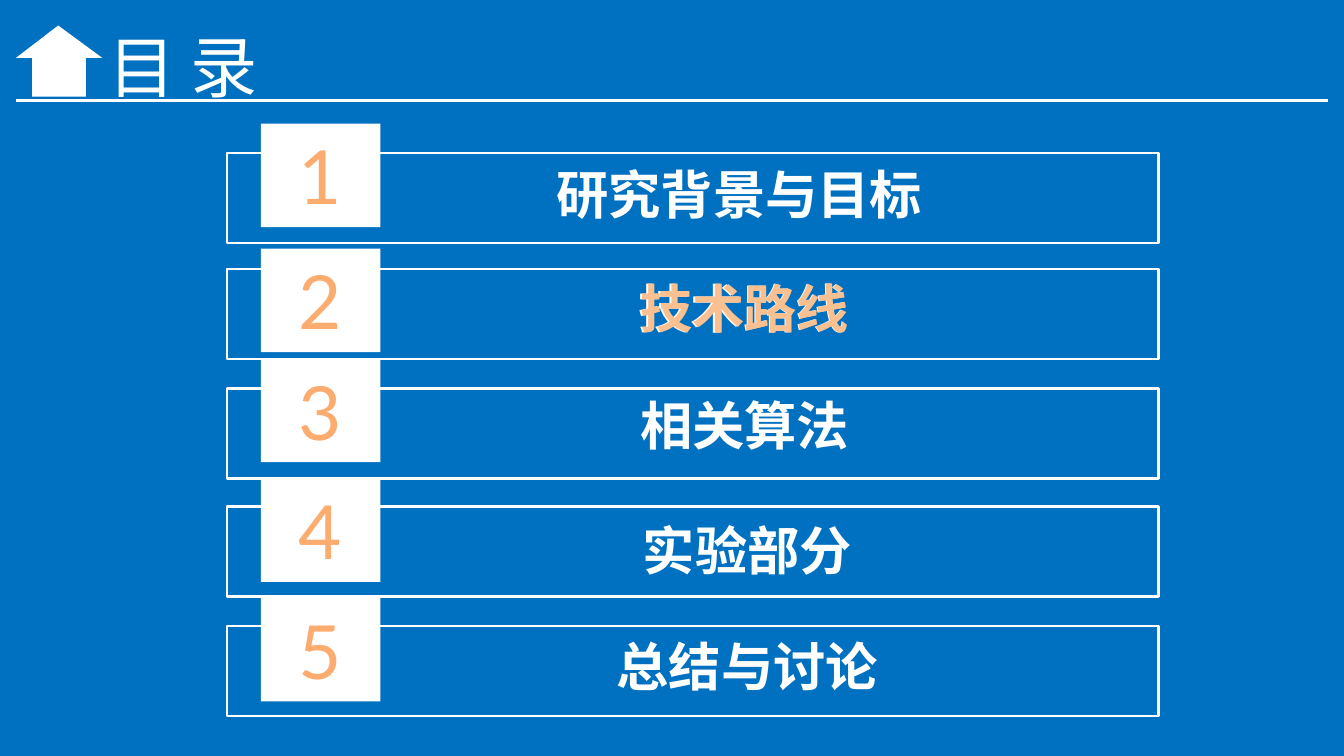
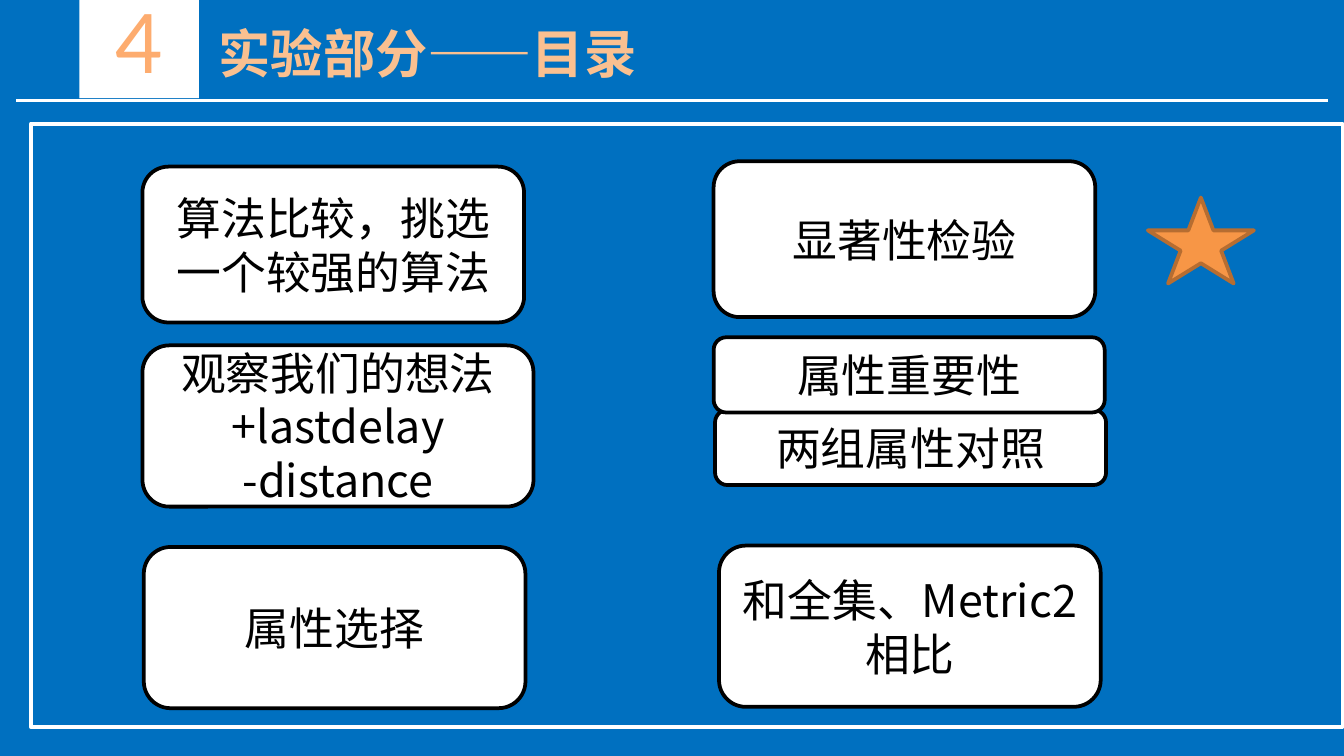
"""Build the contents slide and the experiment outline slide."""
import lxml.etree
import pptx
import pptx.dml.color
import pptx.enum.shapes
import pptx.enum.text
import pptx.oxml.ns
import pptx.util

Inches = pptx.util.Inches
Shape = pptx.enum.shapes.MSO_SHAPE
Align = pptx.enum.text.PP_ALIGN
Anchor = pptx.enum.text.MSO_ANCHOR

BLUE, WHITE, BLACK = "0070C0", "FFFFFF", "000000"
PEACH, APRICOT, ORANGE, BROWN = "FAC090", "FDAC6F", "F79646", "B66D31"
SANS = "Noto Sans CJK SC"


def colour(value):
    return pptx.dml.color.RGBColor.from_string(value)


def add_box(slide, at, text="", *, kind=None, fill=None, line=None, width=2, font=SANS,
            size=28, ink=WHITE, bold=False, align=Align.CENTER, anchor=Anchor.TOP):
    place = [Inches(length) for length in at]
    if kind is None:
        box = slide.shapes.add_textbox(*place)
    else:
        box = slide.shapes.add_shape(kind, *place)
        box.shadow.inherit = False
        if fill:
            box.fill.solid()
            box.fill.fore_color.rgb = colour(fill)
        else:
            box.fill.background()
        if line:
            box.line.color.rgb = colour(line)
            box.line.width = pptx.util.Pt(width)
        else:
            box.line.fill.background()
    if text:
        frame = box.text_frame
        frame.word_wrap = True
        frame.vertical_anchor = anchor
        for index, words in enumerate(text.split("\n")):
            para = frame.add_paragraph() if index else frame.paragraphs[0]
            para.alignment = align
            span = para.add_run()
            span.text = words
            span.font.size = pptx.util.Pt(size)
            span.font.bold = bold
            span.font.color.rgb = colour(ink)
            span.font.name = font
            properties = span.font._element
            lxml.etree.SubElement(properties, pptx.oxml.ns.qn("a:ea"), typeface=font)
    return box


deck = pptx.Presentation()
deck.slide_width = Inches(10)
deck.slide_height = deck.slide_width * 9 // 16

for _ in range(2):
    slide = deck.slides.add_slide(deck.slide_layouts[6])
    slide.background.fill.solid()
    slide.background.fill.fore_color.rgb = colour(BLUE)
    rule = slide.shapes.add_connector(
        pptx.enum.shapes.MSO_CONNECTOR.STRAIGHT,
        Inches(0.12), Inches(0.75), Inches(9.88), Inches(0.75))
    rule.line.color.rgb = colour(WHITE)
    rule.line.width = pptx.util.Pt(1.5)
    lxml.etree.SubElement(rule._element.spPr, pptx.oxml.ns.qn("a:effectLst"))

contents, outline = deck.slides
number_style = dict(kind=Shape.RECTANGLE, fill=WHITE, font="Lato", ink=APRICOT)

roof = add_box(contents, (0.12, 0.19, 0.64, 0.24), kind=Shape.ISOSCELES_TRIANGLE, fill=WHITE)
roof.adjustments[0] = 0.49
add_box(contents, (0.24, 0.43, 0.4, 0.29), kind=Shape.RECTANGLE, fill=WHITE)
add_box(contents, (0.71, 0.14, 1.72, 0.7), "目 录", font="Noto Sans CJK JP",
        size=36, align=Align.LEFT)

chapters = [
    ("研究背景与目标", 1.14, 0.92, 2.6, 1.16),
    ("技术路线", 2, 1.85, 2.63, 2.01),
    ("相关算法", 2.89, 2.67, 2.64, 2.88),
    ("实验部分", 3.77, 3.56, 2.66, 3.81),
    ("总结与讨论", 4.66, 4.45, 2.66, 4.67),
]
for number, chapter in enumerate(chapters, 1):
    name, frame_top, number_top, name_left, name_top = chapter
    add_box(contents, (1.69, frame_top, 6.93, 0.67), kind=Shape.RECTANGLE,
            line=WHITE, width=1.25)
    add_box(contents, (1.94, number_top, 0.89, 0.77), str(number), size=40, **number_style)
    add_box(contents, (name_left, name_top, 5.8, 0.57), name, bold=True)
add_box(contents, (2.64, 2.01, 5.8, 0.57), "技术路线", ink=PEACH, bold=True)

add_box(outline, (1.53, 0.11, 5.8, 0.57), "实验部分——目录", ink=PEACH, bold=True,
        align=Align.LEFT)
add_box(outline, (0.59, -0.11, 0.89, 0.84), "4", size=44, **number_style)
add_box(outline, (0.23, 0.92, 9.76, 4.49), kind=Shape.RECTANGLE, line=WHITE)

steps = [
    ("算法比较，挑选一个较强的算法", (1.06, 1.24, 2.84, 1.16)),
    ("观察我们的想法\n+lastdelay\n-distance", (1.06, 2.57, 2.91, 1.2)),
    ("属性选择", (1.07, 4.07, 2.84, 1.2)),
    ("显著性检验", (5.31, 1.2, 2.84, 1.16)),
    ("两组属性对照", (5.32, 3.05, 2.91, 0.56)),
    ("属性重要性", (5.31, 2.51, 2.91, 0.56)),
    ("和全集、Metric2相比", (5.35, 4.06, 2.84, 1.2)),
]
for step, place in steps:
    add_box(outline, place, step, kind=Shape.ROUNDED_RECTANGLE, fill=WHITE, line=BLACK,
            size=24, ink=BLACK, anchor=Anchor.MIDDLE)

add_box(outline, (8.54, 1.47, 0.79, 0.64), kind=Shape.STAR_5_POINT, fill=ORANGE, line=BROWN)

deck.save("out.pptx")
